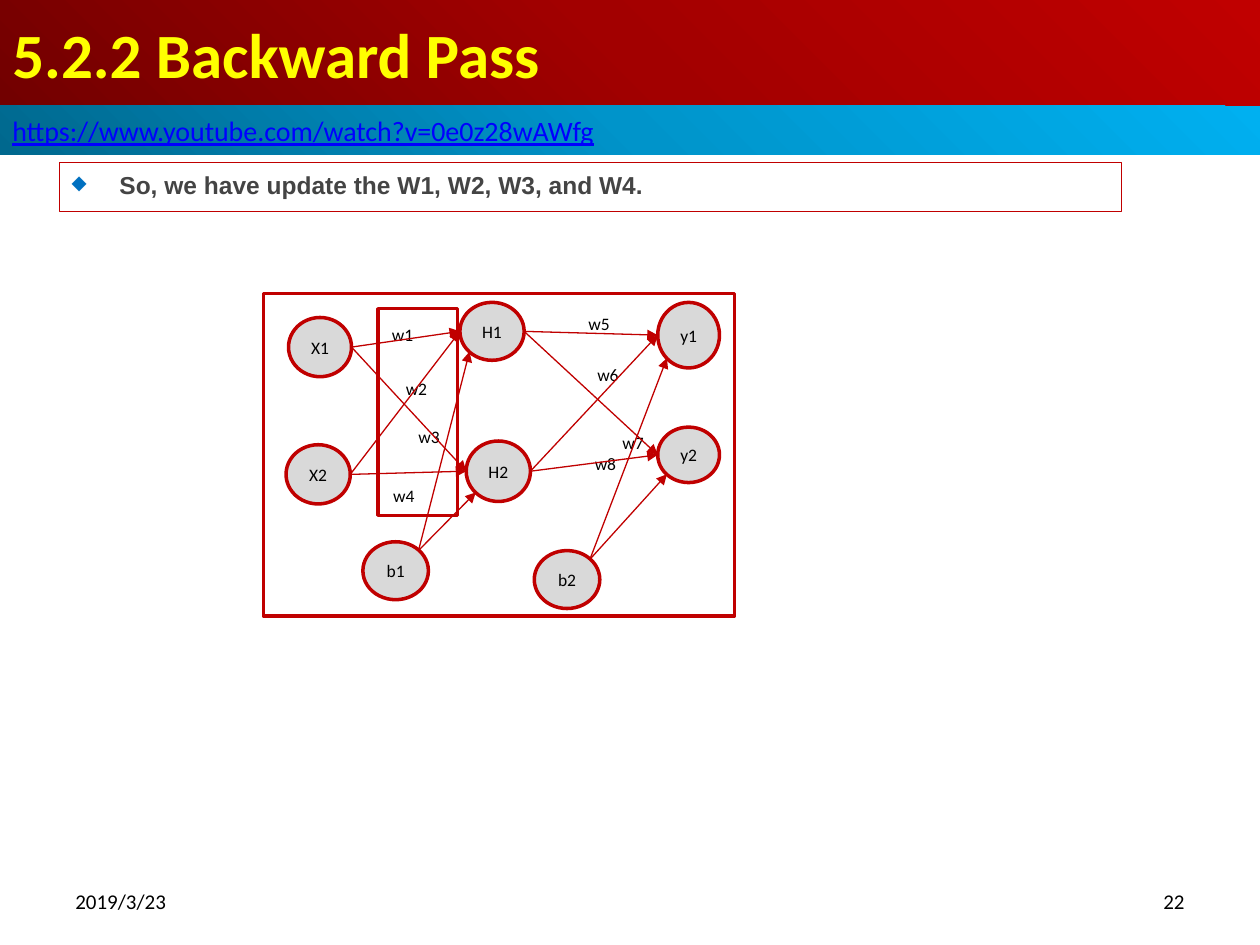
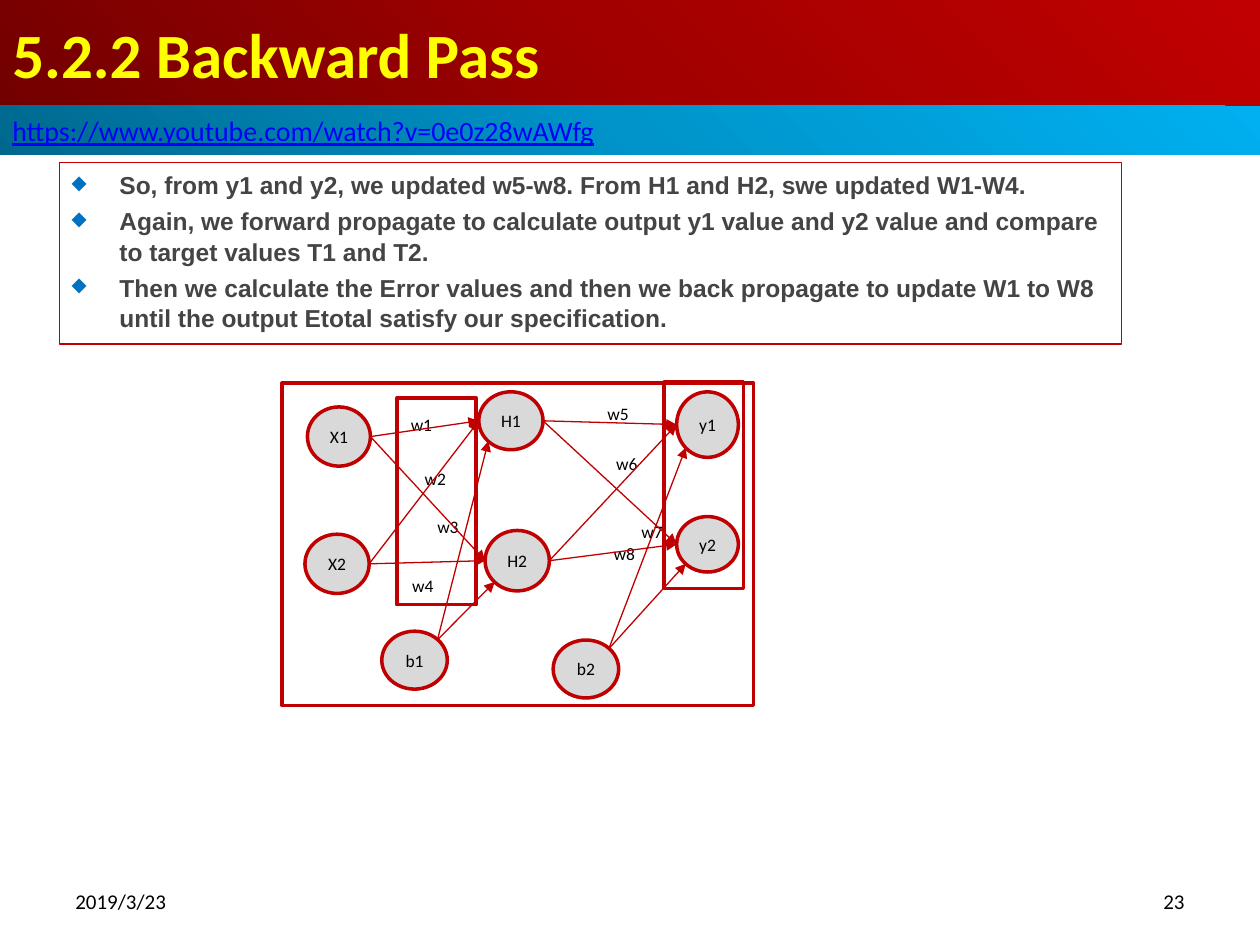
from dataclasses import dataclass

from lxml import etree
from pptx import Presentation
from pptx.dml.color import RGBColor
from pptx.enum.shapes import MSO_CONNECTOR, MSO_SHAPE
from pptx.enum.text import MSO_ANCHOR, PP_ALIGN
from pptx.oxml import parse_xml
from pptx.oxml.ns import nsdecls, qn
from pptx.util import Inches, Pt

COLORS = {
    "red": "C00000", "yellow": "FFFF00", "link": "0000FF", "bullet": "0070C0",
    "body": "444444", "node": "D9D9D9", "black": "000000", "white": "FFFFFF",
}
TITLE_GRADIENT = ("720000", "A20000", "C00000")
LINK_GRADIENT = ("00688E", "0094CA", "00B0F0")

# The slide is a grid of 100 columns and 75 rows.
SLIDE_WIDTH, SLIDE_HEIGHT = Inches(10), Inches(7.5)
COLUMN, ROW = SLIDE_WIDTH / 100, SLIDE_HEIGHT / 75


@dataclass(frozen=True)
class Area:
    """A rectangle in columns and rows of the grid."""
    column: float
    row: float
    columns: float
    rows: float

    def shifted(self, columns: float, rows: float) -> "Area":
        return Area(self.column + columns, self.row + rows, self.columns, self.rows)

    def point(self, across: float, down: float) -> tuple:
        return (round((self.column + across * self.columns) * COLUMN),
                round((self.row + down * self.rows) * ROW))

    def lengths(self) -> tuple:
        return (*self.point(0, 0), round(self.columns * COLUMN), round(self.rows * ROW))


@dataclass(frozen=True)
class Style:
    size: float
    color: str = "black"
    font: str = "Calibri"
    bold: bool = False
    underline: bool = False
    align: PP_ALIGN = PP_ALIGN.LEFT


@dataclass(frozen=True)
class Link:
    start: str
    end: str
    leaves: str = "right"
    enters: str = "left"


@dataclass(frozen=True)
class Lesson:
    number: int
    points: tuple
    points_rows: float
    network_column: float
    network_row: float
    highlights: tuple


TITLE_STYLE = Style(36, "yellow", bold=True)
LINK_STYLE = Style(16, "link", underline=True)
BODY_STYLE = Style(14, "body", "Arial", bold=True)
DATE_STYLE = Style(12)
NUMBER_STYLE = Style(12, align=PP_ALIGN.RIGHT)
NETWORK_STYLE = Style(10, align=PP_ALIGN.CENTER)

# Places inside the network are counted from the corner of its frame.
FRAME = Area(0, 0, 37.4, 25.6)
NODES = {
    "X1": Area(2, 1.9, 5, 4.7),
    "X2": Area(1.8, 12, 5.1, 4.7),
    "H1": Area(15.6, 0.7, 5.1, 4.6),
    "H2": Area(16.1, 11.7, 5.1, 4.8),
    "b1": Area(7.9, 19.7, 5.2, 4.6),
    "y1": Area(31.3, 0.7, 4.9, 5.2),
    "y2": Area(31.3, 10.6, 4.9, 4.4),
    "b2": Area(21.5, 20.4, 5.2, 4.6),
}
WEIGHTS = {
    "w1": Area(8.9, 2.3, 4.3, 1.9),
    "w2": Area(10, 6.6, 4.3, 1.9),
    "w3": Area(11, 10.4, 4.3, 1.9),
    "w4": Area(9, 15.1, 4.3, 1.9),
    "w5": Area(24.5, 1, 4.3, 2.8),
    "w6": Area(25.2, 5, 4.3, 2.8),
    "w7": Area(27.2, 10.4, 4.3, 2.8),
    "w8": Area(25, 12.1, 4.3, 2.8),
}
LAYERS = (("X1", "X2", "b1", "H1", "H2"), ("H1", "H2", "b2", "y1", "y2"))
ANCHORS = {"left": (0, 0.5), "right": (1, 0.5),
           "upper right": (0.85, 0.15), "lower left": (0.15, 0.85)}
HIDDEN_WEIGHTS = Area(9.1, 1.2, 6.3, 16.4)
OUTPUTS = Area(30.3, -0.1, 6.3, 16.4)

LESSONS = (
    Lesson(22, ("So, we have update the W1, W2, W3, and W4.",),
           3.9, 20.9, 23.3, (HIDDEN_WEIGHTS,)),
    Lesson(23, (
        "So, from y1 and y2, we updated w5-w8. From H1 and H2, swe updated W1-W4.",
        "Again, we forward propagate to calculate output y1 value and y2 value "
        "and compare to target values T1 and T2.",
        "Then we calculate the Error values and then we back propagate to update "
        "W1 to W8 until the output Etotal satisfy our specification.",
    ), 14.4, 22.4, 30.4, (HIDDEN_WEIGHTS, OUTPUTS)),
)


def rgb(name: str) -> RGBColor:
    return RGBColor.from_string(COLORS[name])


def write(shape, lines: tuple, style: Style, anchor=MSO_ANCHOR.MIDDLE) -> None:
    frame = shape.text_frame
    frame.word_wrap = True
    frame.vertical_anchor = anchor
    frame.text = "\n".join(lines)
    for para in frame.paragraphs:
        para.alignment = style.align
        for span in para.runs:
            font = span.font
            font.size, font.name = Pt(style.size), style.font
            font.bold, font.underline = style.bold, style.underline
            font.color.rgb = rgb(style.color)


def remove_insets(shape) -> None:
    frame = shape.text_frame
    frame.margin_left = frame.margin_right = frame.margin_top = frame.margin_bottom = 0


def add_box(page, area: Area, kind=MSO_SHAPE.RECTANGLE, fill: str = "",
            line_width: float = 0):
    box = page.shapes.add_shape(kind, *area.lengths())
    box.shadow.inherit = False
    if fill:
        box.fill.solid()
        box.fill.fore_color.rgb = rgb(fill)
    else:
        box.fill.background()
    if line_width:
        box.line.color.rgb = rgb("red")
        box.line.width = Pt(line_width)
    else:
        box.line.fill.background()
    return box


def add_label(page, area: Area, text: str, style: Style):
    label = page.shapes.add_textbox(*area.lengths())
    write(label, (text,), style)
    return label


def add_band(page, area: Area, gradient: tuple, text: str, style: Style) -> None:
    """Draw a full-width band whose colours spread from its lower left corner."""
    band = add_box(page, area)
    stops = "".join(
        f'<a:gs pos="{index * 50000}"><a:srgbClr val="{color}"/></a:gs>'
        for index, color in enumerate(gradient))
    fill = parse_xml(
        f'<a:gradFill {nsdecls("a")} rotWithShape="1"><a:gsLst>{stops}</a:gsLst>'
        '<a:path path="circle"><a:fillToRect t="100000" r="100000"/></a:path>'
        '</a:gradFill>')
    properties = band._element.spPr
    properties.replace(properties.find(qn("a:noFill")), fill)
    write(band, (text,), style)


def add_points(page, lesson: Lesson) -> None:
    box = add_box(page, Area(4.7, 12.9, 84.3, lesson.points_rows), line_width=0.75)
    write(box, lesson.points, BODY_STYLE, MSO_ANCHOR.TOP)
    for index, para in enumerate(box.text_frame.paragraphs):
        para.line_spacing = 1.05
        if index:
            para.space_before = Pt(BODY_STYLE.size * 0.2)
        properties = para._p.get_or_add_pPr()
        properties.set("marL", str(Inches(0.38)))
        properties.set("indent", str(-Inches(0.38)))
        color = etree.SubElement(properties, qn("a:buClr"))
        etree.SubElement(color, qn("a:srgbClr"), val=COLORS["bullet"])
        etree.SubElement(properties, qn("a:buSzPct"), val="80000")
        etree.SubElement(properties, qn("a:buChar"), char="◆")


def add_arrow(page, start: tuple, end: tuple) -> None:
    arrow = page.shapes.add_connector(MSO_CONNECTOR.STRAIGHT, *start, *end)
    arrow.line.color.rgb = rgb("red")
    arrow.line.width = Pt(0.75)
    etree.SubElement(arrow.line._get_or_add_ln(), qn("a:tailEnd"), type="triangle")
    etree.SubElement(arrow._element.spPr, qn("a:effectLst"))


def network_links() -> list:
    """Join both nodes and the bias of each layer to both nodes of the next."""
    links = []
    for first, second, bias, *targets in LAYERS:
        for target in targets:
            links += [Link(first, target), Link(second, target),
                      Link(bias, target, "upper right", "lower left")]
    return links


def add_network(page, lesson: Lesson) -> None:
    corner = (lesson.network_column, lesson.network_row)
    add_box(page, FRAME.shifted(*corner), fill="white", line_width=2)
    nodes = {name: area.shifted(*corner) for name, area in NODES.items()}
    for name, area in nodes.items():
        node = add_box(page, area, MSO_SHAPE.OVAL, "node", 2)
        write(node, (name,), NETWORK_STYLE)
        remove_insets(node)
    for name, area in WEIGHTS.items():
        remove_insets(add_label(page, area.shifted(*corner), name, NETWORK_STYLE))
    for link in network_links():
        add_arrow(page, nodes[link.start].point(*ANCHORS[link.leaves]),
                  nodes[link.end].point(*ANCHORS[link.enters]))
    for highlight in lesson.highlights:
        add_box(page, highlight.shifted(*corner), line_width=2)


def add_lesson(deck, lesson: Lesson) -> None:
    page = deck.slides.add_slide(deck.slide_layouts[6])
    add_band(page, Area(0, 0, 100, 8.4), TITLE_GRADIENT,
             "5.2.2 Backward Pass", TITLE_STYLE)
    add_points(page, lesson)
    add_band(page, Area(0, 8.4, 100, 3.9), LINK_GRADIENT,
             "https://www.youtube.com/watch?v=0e0z28wAWfg", LINK_STYLE)
    add_label(page, Area(5, 69.5, 23.3, 4), "2019/3/23", DATE_STYLE)
    add_label(page, Area(71.7, 69.5, 23.3, 4), str(lesson.number), NUMBER_STYLE)
    add_network(page, lesson)


def main() -> None:
    deck = Presentation()
    deck.slide_width, deck.slide_height = SLIDE_WIDTH, SLIDE_HEIGHT
    for lesson in LESSONS:
        add_lesson(deck, lesson)
    deck.save("out.pptx")


if __name__ == "__main__":
    main()
